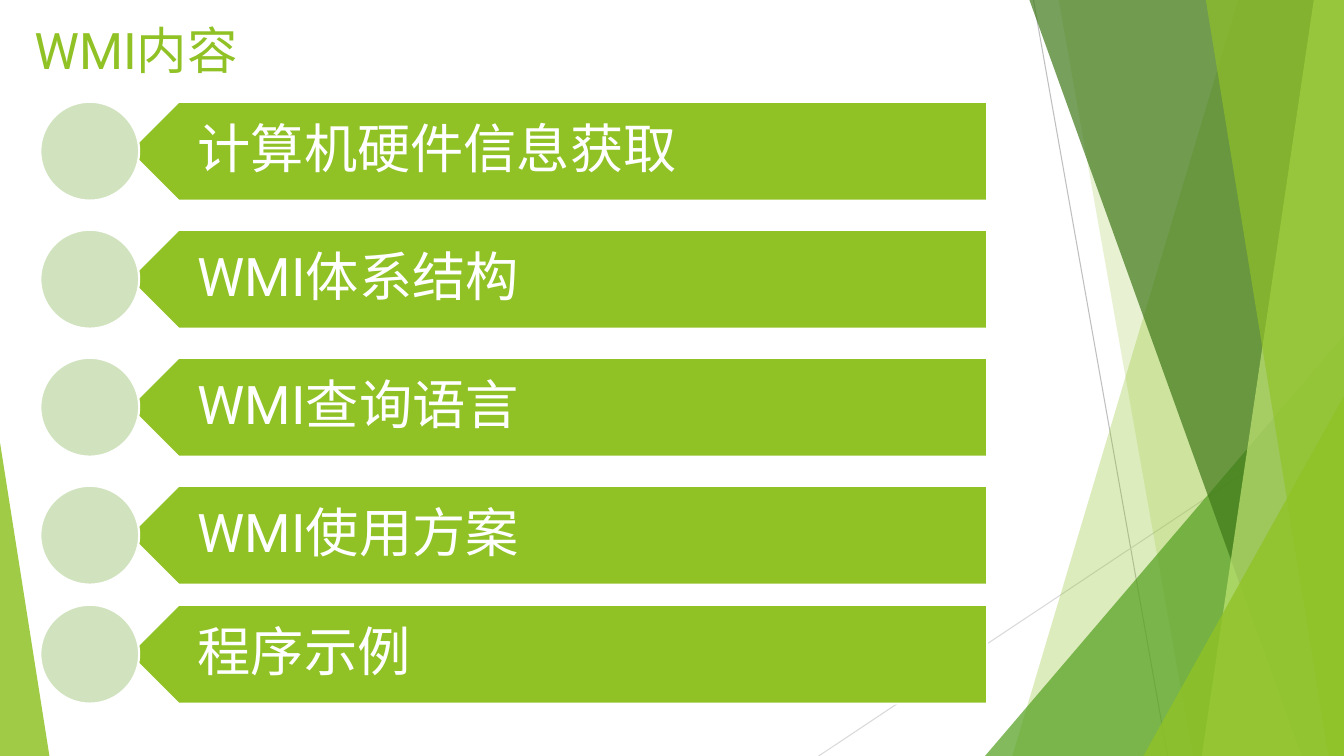
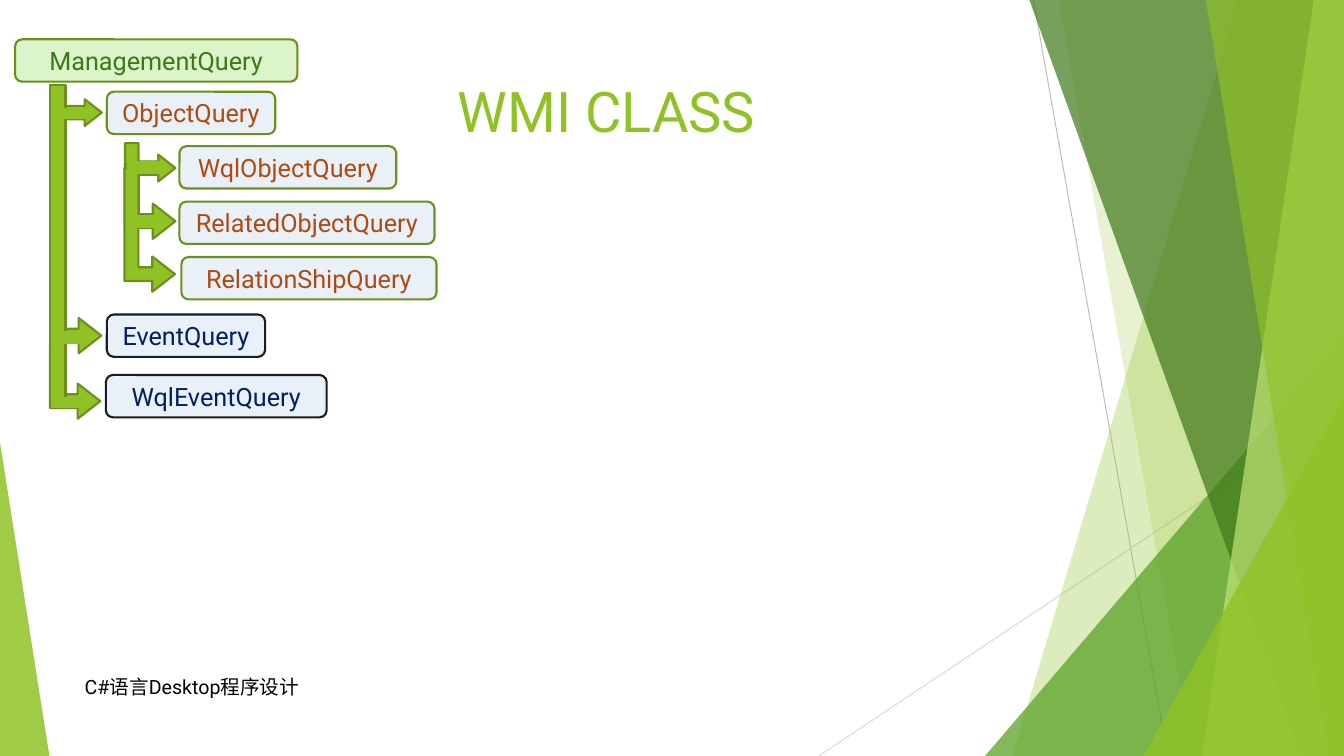
from lxml import etree
from pptx import Presentation
from pptx.dml.color import RGBColor
from pptx.enum.shapes import MSO_CONNECTOR, MSO_SHAPE
from pptx.enum.text import MSO_ANCHOR as ANCHOR, MSO_AUTO_SIZE, PP_ALIGN as ALIGN
from pptx.oxml.ns import qn
from pptx.util import Inches, Pt

WIDTH, HEIGHT = 13.33, 7.5
FONT = "Roboto"
GREEN, DARK_GREEN, OUTLINE = "90C226", "3F7819", "6B901C"
WHITE, BLACK = "FFFFFF", "000000"
PALE_BLUE, RUST, NAVY, INK = "E9F0F7", "AD4C12", "002060", "161E22"
rgb = RGBColor.from_string


def paint(shape, fill, line=None, opacity=100):
    """Flat fill with opacity in percent, and an optional 1.5 pt outline."""
    shape.shadow.inherit = False
    shape.fill.solid()
    shape.fill.fore_color.rgb = rgb(fill)
    if opacity < 100:
        color = shape.fill._xPr.find(qn("a:solidFill"))[0]
        etree.SubElement(color, qn("a:alpha")).set("val", str(opacity * 1000))
    if line:
        shape.line.color.rgb = rgb(line)
        shape.line.width = Pt(1.5)
    else:
        shape.line.fill.background()


def write(shape, text, size=18, color=GREEN, align=ALIGN.LEFT, anchor=ANCHOR.MIDDLE,
          insets=(0.1, 0.05, 0.1, 0.05), spacing=1.0):
    frame = shape.text_frame
    frame.word_wrap = True
    frame.auto_size = MSO_AUTO_SIZE.NONE
    frame.vertical_anchor = anchor
    (frame.margin_left, frame.margin_top,
     frame.margin_right, frame.margin_bottom) = map(Inches, insets)
    paragraph = frame.paragraphs[0]
    paragraph.alignment = align
    paragraph.line_spacing = spacing
    run = paragraph.add_run()
    run.text = text
    run.font.name = FONT
    run.font.size = Pt(size)
    run.font.color.rgb = rgb(color)


presentation = Presentation()
presentation.slide_width, presentation.slide_height = Inches(WIDTH), Inches(HEIGHT)
layout = presentation.slide_layouts[5]
contents_slide = presentation.slides.add_slide(layout)
class_slide = presentation.slides.add_slide(layout)

# Shared backdrop: drawn once, then moved into the layout
shapes = contents_slide.shapes
backdrop = []
for x1, y1, x2, y2, color in [(10.25, 0, 11.58, HEIGHT, "BFBFBF"),
                              (WIDTH, 4.03, 8.12, HEIGHT, "D9D9D9")]:
    line = shapes.add_connector(MSO_CONNECTOR.STRAIGHT, *map(Inches, (x1, y1, x2, y2)))
    line.line.color.rgb = rgb(color)
    line.line.width = Pt(0.75)
    etree.SubElement(line.element.spPr, qn("a:effectLst"))
    backdrop.append(line)

# Bands: x at top, x at bottom. Triangles: left, top, width, apex position.
for kind, place, color, opacity in [
    ("band", (12.28, 10.04), GREEN, 30),
    ("band", (10.5, 11.83), GREEN, 20),
    ("triangle", (9.77, 3.33, 3.56, 1), "54A021", 72),
    ("band", (10.21, 12.91), DARK_GREEN, 70),
    ("band", (13.03, 11.92), "C0E474", 70),
    ("band", (11.96, 13.18), GREEN, 65),
    ("triangle", (11.34, 3.93, 1.99, 1), GREEN, 80),
    ("triangle", (0, 4.39, 0.49, 0), GREEN, 85),
]:
    if kind == "band":
        top_x, bottom_x = place
        builder = shapes.build_freeform(Inches(top_x), 0)
        builder.add_line_segments([
            (Inches(x), Inches(y))
            for x, y in [(WIDTH, 0), (WIDTH, HEIGHT), (bottom_x, HEIGHT)]])
        facet = builder.convert_to_shape()
    else:
        left, top, width, apex = place
        facet = shapes.add_shape(MSO_SHAPE.ISOSCELES_TRIANGLE,
                                 *map(Inches, (left, top, width, HEIGHT - top)))
        facet.adjustments[0] = apex
    paint(facet, color, opacity=opacity)
    backdrop.append(facet)

for index, shape in enumerate(backdrop):
    shape.element.xpath(".//p:cNvPr")[0].set("id", str(100 + index))
    layout.shapes.element.insert(2 + index, shape.element)

# Titles
for slide, text, size, place in [
    (contents_slide, "WMI内容", 36, (0.24, 0.14, 2.89, 0.78)),
    (class_slide, "WMI CLASS", 40, (4.44, 0.71, 3.58, 1.23)),
]:
    title = slide.shapes.title
    title.left, title.top, title.width, title.height = map(Inches, place)
    write(title, text, size=size, anchor=ANCHOR.TOP)

# Slide 1: contents list
topics = ["计算机硬件信息获取", "WMI体系结构", "WMI查询语言", "WMI使用方案", "程序示例"]
tops = [1.01 + 1.27 * row for row in range(4)] + [6]
size = 0.98
for topic, top in zip(topics, tops):
    banner = shapes.add_shape(MSO_SHAPE.PENTAGON, *map(Inches, (1.28, top, 8.51, size)))
    banner.rotation = 180
    paint(banner, GREEN, WHITE)
    label = shapes.add_textbox(*map(Inches, (1.53, top, 8.27, size)))
    write(label, topic, size=38, color=WHITE, insets=(0.43, 0.16, 0.3, 0.16), spacing=0.9)
    disc = shapes.add_shape(MSO_SHAPE.OVAL, *map(Inches, (0.4, top, size, size)))
    paint(disc, "D1E3BE", WHITE)

# Slide 2: class tree
shapes = class_slide.shapes
caption = shapes.add_textbox(*map(Inches, (0.74, 6.61, 6.89, 0.4)))
write(caption, "C#语言Desktop程序设计", size=14, color=BLACK)

for name, left, top, width, fill, line, color in [
    ("ManagementQuery", 0.15, 0.39, 2.8, "DBF4CA", OUTLINE, DARK_GREEN),
    ("ObjectQuery", 1.06, 0.91, 1.67, PALE_BLUE, OUTLINE, RUST),
    ("WqlObjectQuery", 1.78, 1.45, 2.15, PALE_BLUE, OUTLINE, RUST),
    ("RelatedObjectQuery", 1.78, 2, 2.53, PALE_BLUE, OUTLINE, RUST),
    ("RelationShipQuery", 1.8, 2.55, 2.53, PALE_BLUE, OUTLINE, RUST),
    ("EventQuery", 1.06, 3.12, 1.57, PALE_BLUE, INK, NAVY),
    ("WqlEventQuery", 1.05, 3.72, 2.19, PALE_BLUE, INK, NAVY),
]:
    node = shapes.add_shape(MSO_SHAPE.ROUNDED_RECTANGLE,
                            *map(Inches, (left, top, width, 0.42)))
    paint(node, fill, line)
    write(node, name, color=color, align=ALIGN.CENTER)

# Bent arrows, turned a quarter: left, top and length before the turn, shaft thickness
for left, top, length, shaft in [
    (0.57, 0.81, 0.38, 0.35),
    (1.3, 1.36, 0.38, 0.35),
    (1.12, 1.75, 0.74, 0.274),
    (0.87, 2.03, 1.23, 0.274),
    (-0.36, 2.14, 2.23, 0.274),
    (0.38, 3.54, 0.73, 0.274),
]:
    arrow = shapes.add_shape(MSO_SHAPE.BENT_UP_ARROW, *map(Inches, (left, top, length, 0.5)))
    arrow.rotation = 90
    for index, value in enumerate((shaft, 0.35, 0.45)):
        arrow.adjustments[index] = value
    paint(arrow, GREEN, OUTLINE)

# The trunk, then patches that merge the arrow joints
for left, top, width, height, line in [
    (0.5, 0.84, 0.15, 3.13, OUTLINE),
    (0.52, 3.29, 0.34, 0.11, GREEN),
    (0.52, 3.95, 0.34, 0.09, GREEN),
    (0.53, 1.08, 0.34, 0.09, GREEN),
    (1.26, 1.73, 0.07, 0.81, GREEN),
    (1.27, 1.62, 0.07, 0.81, GREEN),
    (1.27, 2.14, 0.34, 0.11, GREEN),
    (1.3, 1.61, 0.34, 0.11, GREEN),
]:
    bar = shapes.add_shape(MSO_SHAPE.RECTANGLE, *map(Inches, (left, top, width, height)))
    paint(bar, GREEN, line)

presentation.save("out.pptx")
